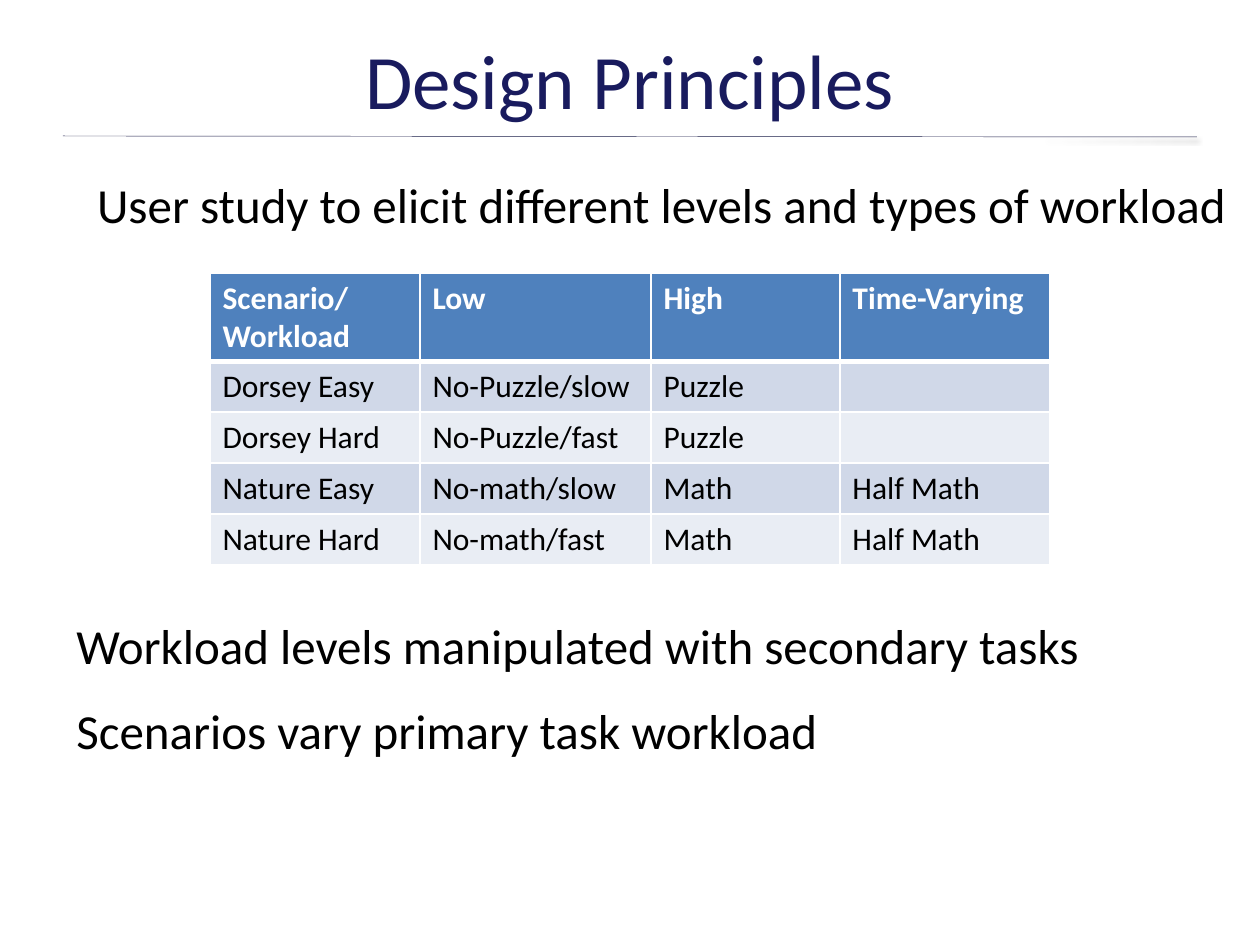
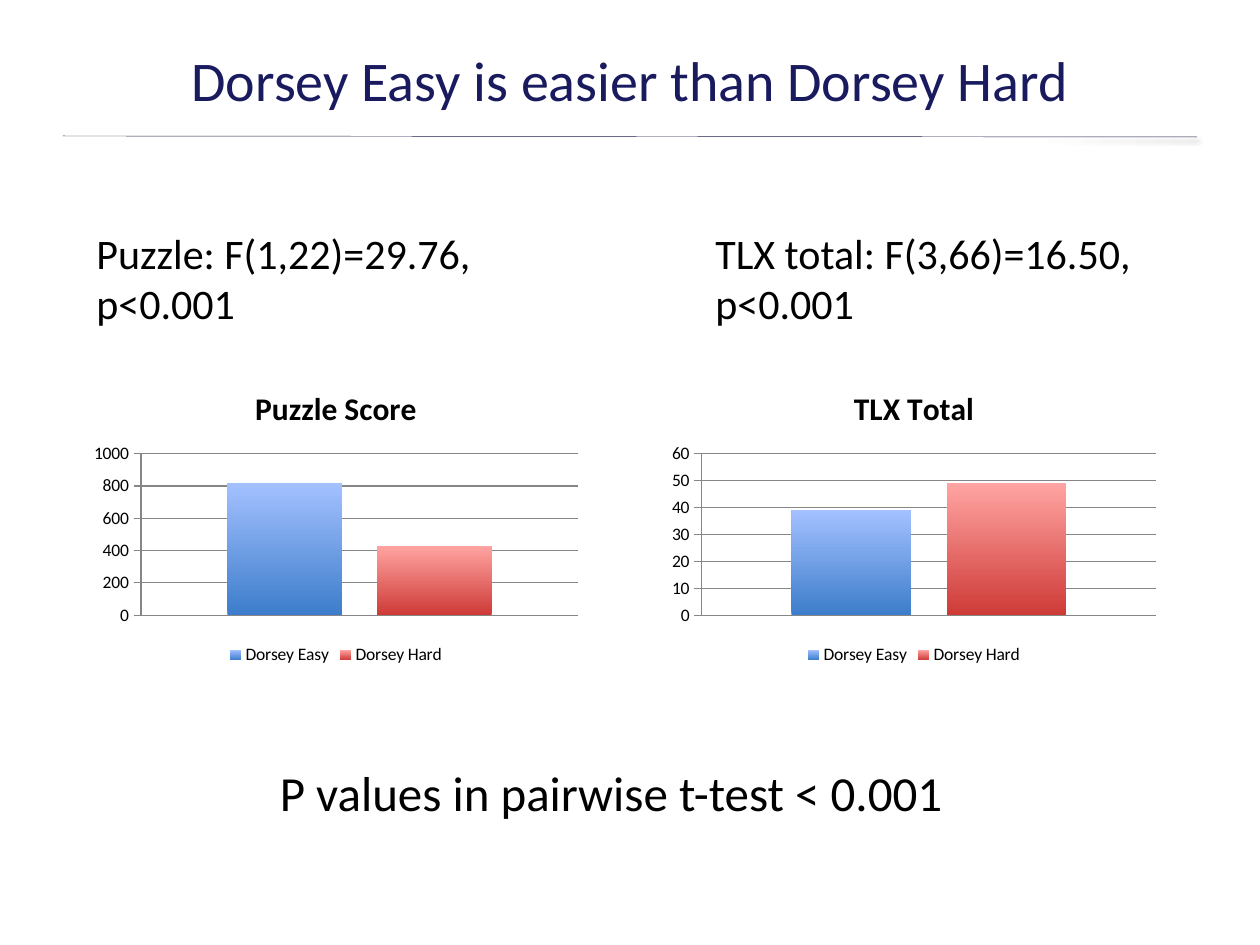
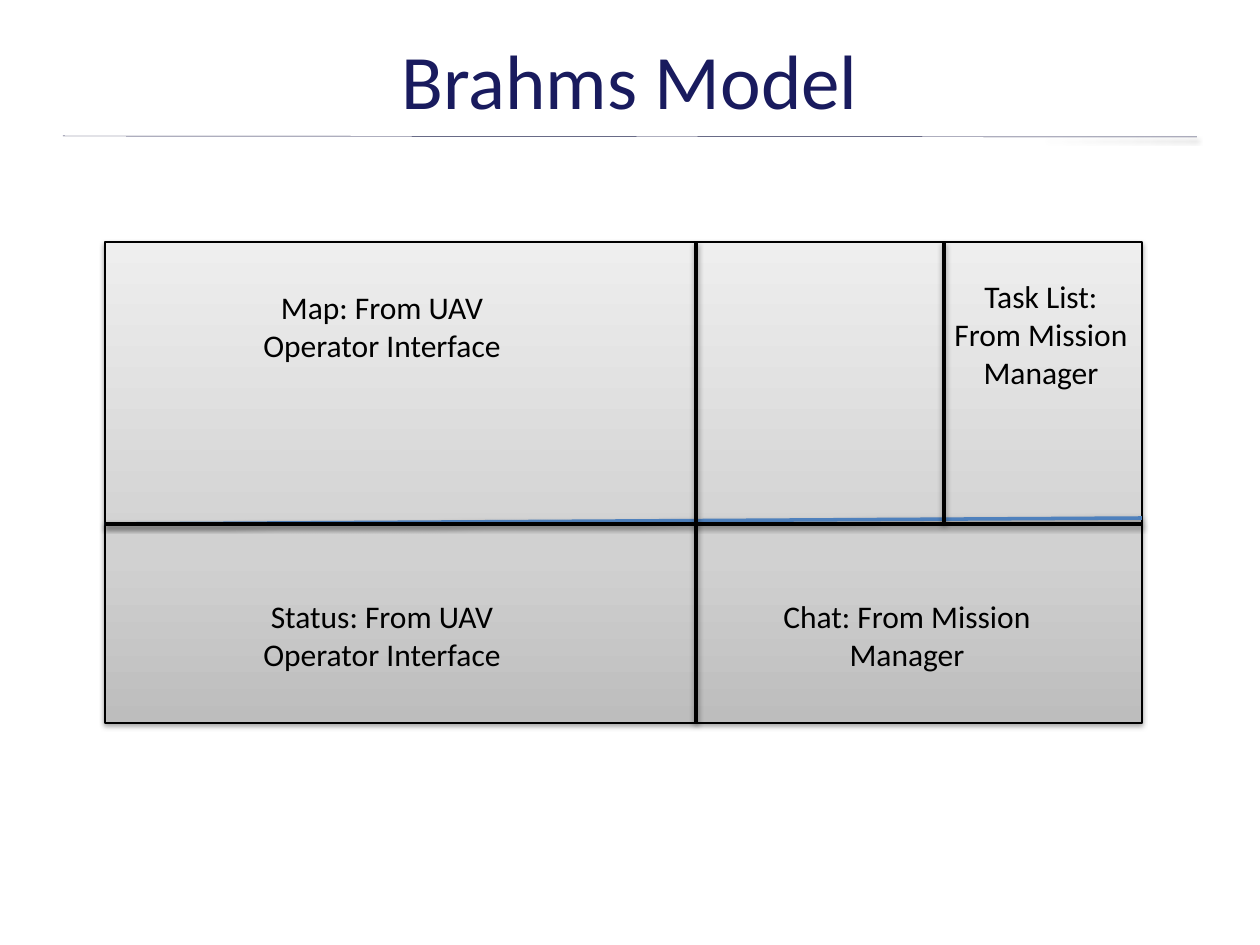
import copy

import lxml.etree
import pptx
import pptx.chart.data
import pptx.dml.color
import pptx.enum.chart
import pptx.enum.shapes
import pptx.enum.text
import pptx.oxml
import pptx.oxml.ns
import pptx.util

PX = pptx.util.Inches(1) // 126
RGB = pptx.dml.color.RGBColor.from_string
Pt = pptx.util.Pt
qn = pptx.oxml.ns.qn
LEFT = pptx.enum.text.PP_ALIGN.LEFT
CENTER = pptx.enum.text.PP_ALIGN.CENTER
SHAPE_TYPE = pptx.enum.shapes.MSO_SHAPE_TYPE


class Theme:
    font = "Calibri"
    title = RGB("191B5E")
    rule = RGB("1A1C47")
    text = RGB("000000")
    white = RGB("FFFFFF")
    accent = RGB("4F81BD")
    bands = [RGB("D0D8E8"), RGB("E9EDF4")]
    grid = RGB("868686")
    panel = [(0, RGB("BDBDBD")), (0.35, RGB("D1D1D1")), (1, RGB("EEEEEE"))]
    bars = [(RGB("3D7DCB"), RGB("A4C1FF")), (RGB("CE3B37"), RGB("FFA4A2"))]
    title_size = Pt(44)
    long_title_size = Pt(32)
    statement_size = Pt(28)
    result_size = Pt(24)
    label_size = Pt(18)
    chart_size = Pt(10)


def add_text(slide, box, lines, size, alignment=LEFT):
    """Add a wrapping text box; box is left, top, width, height in px."""
    frame = slide.shapes.add_textbox(*[length * PX for length in box]).text_frame
    frame.word_wrap = True
    frame.text = lines
    for paragraph in frame.paragraphs:
        paragraph.alignment = alignment
        paragraph.font.name = Theme.font
        paragraph.font.size = size
        paragraph.font.color.rgb = Theme.text


def add_line(slide, ends, color, width):
    """Add a straight line; ends is x1, y1, x2, y2 in px."""
    line = slide.shapes.add_connector(
        pptx.enum.shapes.MSO_CONNECTOR.STRAIGHT, *[length * PX for length in ends])
    line.line.color.rgb = color
    line.line.width = Pt(width)


presentation = pptx.Presentation()
presentation.slide_width = pptx.util.Inches(10)
presentation.slide_height = pptx.util.Inches(7.5)

# Titles and the rule below them
slides = []
for text, size in [
    ("Design Principles", Theme.title_size),
    ("Dorsey Easy is easier than Dorsey Hard", Theme.long_title_size),
    ("Brahms Model", Theme.title_size),
]:
    slide = presentation.slides.add_slide(presentation.slide_layouts[5])
    add_line(slide, (63, 136, 1197, 137), Theme.rule, 0.25)
    title = slide.shapes.title
    title.left, title.top, title.width, title.height = 63 * PX, 21 * PX, 1134 * PX, 116 * PX
    title.text_frame.text = text
    title.text_frame.vertical_anchor = pptx.enum.text.MSO_ANCHOR.MIDDLE
    paragraph = title.text_frame.paragraphs[0]
    paragraph.alignment = CENTER
    paragraph.font.name = Theme.font
    paragraph.font.size = size
    paragraph.font.color.rgb = Theme.title
    slides.append(slide)
principles, results, model = slides

# Design principles
add_text(principles, (63, 168, 1197, 136),
         "User study to elicit different levels and types of workload",
         Theme.statement_size, CENTER)
scenarios = [
    ["Scenario/Workload", "Low", "High", "Time-Varying"],
    ["Dorsey Easy", "No-Puzzle/slow", "Puzzle", ""],
    ["Dorsey Hard", "No-Puzzle/fast", "Puzzle", ""],
    ["Nature Easy", "No-math/slow", "Math", "Half Math"],
    ["Nature Hard", "No-math/fast", "Math", "Half Math"],
]
column_widths = [210, 231, 189, 210]
row_heights = [88, 51, 51, 51, 51]
table = principles.shapes.add_table(
    len(scenarios), len(column_widths), 210 * PX, 273 * PX,
    sum(column_widths) * PX, sum(row_heights) * PX).table
for column, width in zip(table.columns, column_widths):
    column.width = width * PX
for row, height in zip(table.rows, row_heights):
    row.height = height * PX
for row_index, row in enumerate(scenarios):
    is_header = row_index == 0
    for column_index, text in enumerate(row):
        cell = table.cell(row_index, column_index)
        cell.text = text
        cell.fill.solid()
        cell.fill.fore_color.rgb = Theme.accent if is_header else Theme.bands[(row_index - 1) % 2]
        font = cell.text_frame.paragraphs[0].font
        font.name = Theme.font
        font.size = Theme.label_size
        font.bold = is_header
        font.color.rgb = Theme.white if is_header else Theme.text
        thick_side = {0: "lnB", 1: "lnT"}.get(row_index)
        properties = cell._tc.get_or_add_tcPr()
        for position, side in enumerate(["lnL", "lnR", "lnT", "lnB"]):
            border = lxml.etree.Element(qn("a:" + side), w=str(Pt(3 if side == thick_side else 1)))
            fill = lxml.etree.SubElement(border, qn("a:solidFill"))
            lxml.etree.SubElement(fill, qn("a:srgbClr"), val=str(Theme.white))
            properties.insert(position, border)
for top, text in [(609, "Workload levels manipulated with secondary tasks"),
                  (694, "Scenarios vary primary task workload")]:
    add_text(principles, (64, top, 1154, 72), text, Theme.statement_size)

# Test results
add_text(results, (84, 221, 504, 120), "Puzzle: F(1,22)=29.76, p<0.001", Theme.result_size)
add_text(results, (703, 221, 557, 147), "TLX total: F(3,66)=16.50, p<0.001", Theme.result_size)
for left, name, values, maximum, step in [
    (662, "TLX Total", (39, 49), 60, 10),
    (84, "Puzzle Score", (820, 430), 1000, 200),
]:
    data = pptx.chart.data.CategoryChartData()
    data.categories = ["1"]
    for scenario, value in zip(["Dorsey Easy", "Dorsey Hard"], values):
        data.add_series(scenario, [value])
    chart = results.shapes.add_chart(
        pptx.enum.chart.XL_CHART_TYPE.COLUMN_CLUSTERED,
        left * PX, 368 * PX, 504 * PX, 302 * PX, data).chart
    chart.font.name = Theme.font
    chart.font.size = Theme.chart_size
    chart.font.color.rgb = Theme.text
    chart.has_title = True
    chart.chart_title.text_frame.text = name
    title_font = chart.chart_title.text_frame.paragraphs[0].font
    title_font.name = Theme.font
    title_font.size = Theme.label_size
    title_font.bold = True
    title_font.color.rgb = Theme.text
    chart.has_legend = True
    chart.legend.position = pptx.enum.chart.XL_LEGEND_POSITION.BOTTOM
    chart.legend.include_in_layout = False
    chart.category_axis.visible = False
    axis = chart.value_axis
    axis.minimum_scale, axis.maximum_scale, axis.major_unit = 0, maximum, step
    axis.major_tick_mark = pptx.enum.chart.XL_TICK_MARK.OUTSIDE
    axis.has_major_gridlines = True
    for line in (axis.format.line, axis.major_gridlines.format.line):
        line.color.rgb = Theme.grid
        line.width = Pt(0.75)
    plot = chart.plots[0]
    plot.gap_width = 150
    plot.overlap = -30
    plot.vary_by_categories = False
    for series, colors in zip(plot.series, Theme.bars):
        fill = series.format.fill
        fill.gradient()
        fill.gradient_angle = 90
        for stop, color in zip(fill.gradient_stops, colors):
            stop.color.rgb = color
add_text(results, (262, 756, 698, 72), "P values in pairwise t-test < 0.001",
         Theme.statement_size, CENTER)

# Screen layout of the model
left, top, right, bottom = 105, 242, 1142, 723
middle_x, task_x, middle_y = 696, 944, 524
panel = model.shapes.add_shape(
    pptx.enum.shapes.MSO_SHAPE.RECTANGLE,
    left * PX, top * PX, (right - left) * PX, (bottom - top) * PX)
panel.fill.gradient()
panel.fill.gradient_angle = 90
stop_list = panel.element.spPr.find(".//" + qn("a:gsLst"))
stop_list.insert(1, copy.deepcopy(stop_list[0]))
for stop, (position, color) in zip(panel.fill.gradient_stops, Theme.panel):
    stop.position = position
    stop.color.rgb = color
panel.line.color.rgb = Theme.text
panel.line.width = Pt(0.75)
for ends, color in [
    ((left, middle_y, right, middle_y - 6), Theme.accent),
    ((left, middle_y, right, middle_y), Theme.text),
    ((middle_x, top, middle_x, bottom), Theme.text),
    ((task_x, top, task_x, middle_y), Theme.text),
]:
    add_line(model, ends, color, 2)
for text_left, text_top, text in [
    (226, 282, "Map: From UAV Operator Interface"),
    (226, 591, "Status: From UAV Operator Interface"),
    (751, 591, "Chat: From Mission Manager"),
    (885, 271, "Task List:\nFrom Mission\nManager"),
]:
    add_text(model, (text_left, text_top, 312, 89), text, Theme.label_size, CENTER)

# One soft shadow for all lines and the panel
for slide in slides:
    for shape in slide.shapes:
        if shape.shape_type in (SHAPE_TYPE.LINE, SHAPE_TYPE.AUTO_SHAPE):
            effects = lxml.etree.SubElement(shape.element.spPr, qn("a:effectLst"))
            shadow = lxml.etree.SubElement(
                effects, qn("a:outerShdw"), blurRad=str(Pt(3.1)), dist=str(Pt(1.6)),
                dir="5400000", rotWithShape="0")
            shadow_color = lxml.etree.SubElement(shadow, qn("a:srgbClr"), val="000000")
            lxml.etree.SubElement(shadow_color, qn("a:alpha"), val="38000")

presentation.save("out.pptx")
